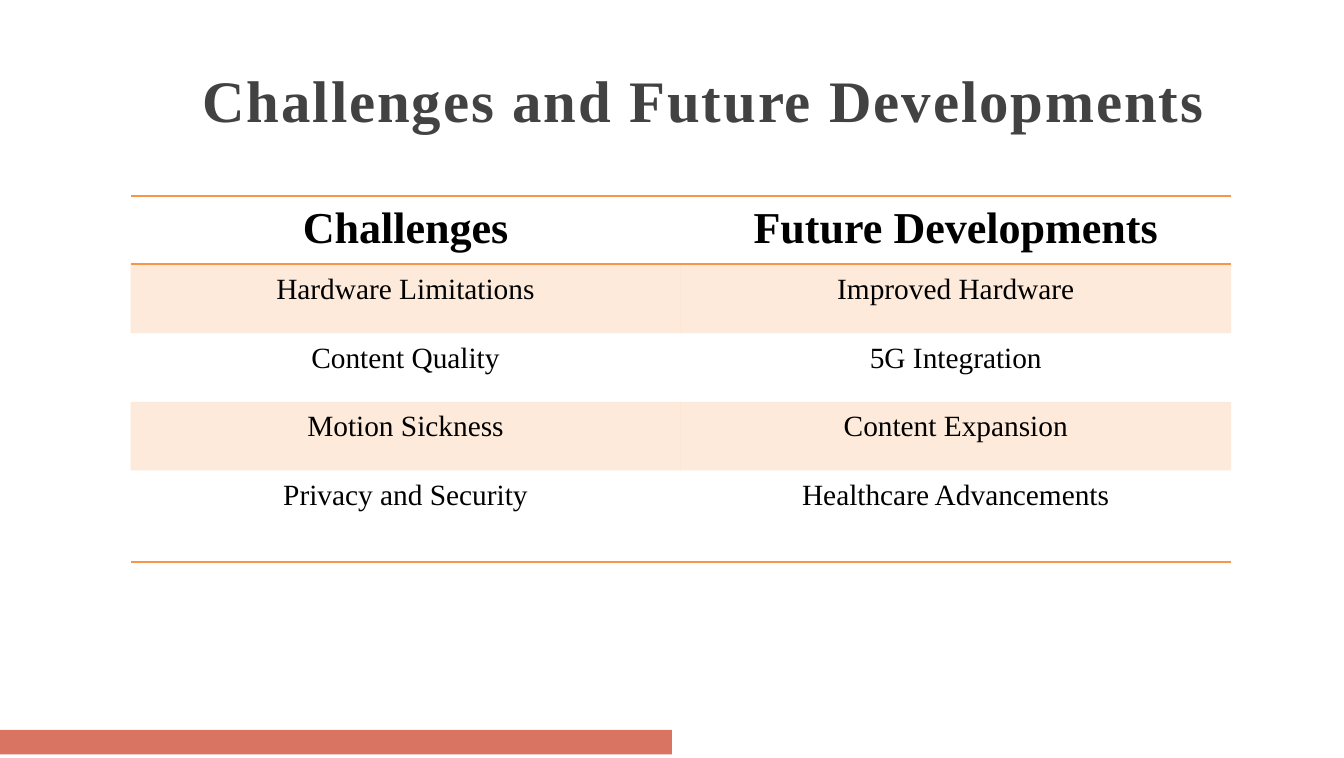
import pptx
import pptx.dml.color
import pptx.enum.shapes
import pptx.enum.text
import pptx.oxml.ns
import pptx.util
from dataclasses import dataclass
from lxml import etree

WIDTH, HEIGHT = 7.62, 4.3
COLUMN, ROW, LAST_ROW = 3.12, 0.39, 0.52
NO_STYLE = "{2D5ABB26-0587-4C30-8999-92F81FD0307C}"

HEADINGS = ("Challenges", "Future Developments")
TOPICS = [
    ("Hardware Limitations", "Improved Hardware"),
    ("Content Quality", "5G Integration"),
    ("Motion Sickness", "Content Expansion"),
    ("Privacy and Security", "Healthcare Advancements"),
]


@dataclass(frozen=True)
class Theme:
    font: str = "Times New Roman"
    title: str = "424242"
    text: str = "000000"
    accent: str = "F79646"
    bar: str = "DA7462"
    title_size: int = 24
    heading_size: int = 18
    body_size: int = 12
    band_opacity: int = 20


THEME = Theme()


def inches(*lengths):
    return [pptx.util.Inches(length) for length in lengths]


def rgb(value):
    return pptx.dml.color.RGBColor.from_string(value)


def add_xml(parent, tag, **attributes):
    return etree.SubElement(parent, pptx.oxml.ns.qn(tag), attributes)


def style_paragraph(para, size, color, bold=False):
    para.alignment = pptx.enum.text.PP_ALIGN.CENTER
    font = para.font
    font.name, font.size, font.bold = THEME.font, pptx.util.Pt(size), bold
    font.color.rgb = rgb(color)


def add_bar(page):
    bar = page.shapes.add_shape(
        pptx.enum.shapes.MSO_SHAPE.RECTANGLE,
        *inches(0, 4.14, WIDTH / 2, 0.14))
    bar.shadow.inherit = False
    bar.fill.solid()
    bar.fill.fore_color.rgb = rgb(THEME.bar)
    bar.line.fill.background()


def set_title(page, text):
    title = page.shapes.title
    title.left, title.top, title.width, title.height = inches(0.66, 0.32, 6.66, 0.42)
    frame = title.text_frame
    frame.margin_left = frame.margin_right = frame.margin_bottom = 0
    frame.margin_top = pptx.util.Inches(0.04)
    frame.vertical_anchor = pptx.enum.text.MSO_ANCHOR.TOP
    frame.auto_size = pptx.enum.text.MSO_AUTO_SIZE.NONE
    frame.text = text
    para = frame.paragraphs[0]
    style_paragraph(para, THEME.title_size, THEME.title, bold=True)
    para.space_before = pptx.util.Pt(0.9)
    # Letter spacing, in hundredths of a point
    para.runs[0].font._element.set("spc", "80")


def add_border(cell, side, position):
    line = add_xml(cell._tc.get_or_add_tcPr(), f"a:ln{side}",
                   w=str(pptx.util.Pt(1)))
    add_xml(add_xml(line, "a:solidFill"), "a:srgbClr", val=THEME.accent)
    cell._tc.tcPr.insert(position, line)


def fill_cell(cell, banded):
    if not banded:
        cell.fill.background()
        return
    cell.fill.solid()
    cell.fill.fore_color.rgb = rgb(THEME.accent)
    color = cell._tc.tcPr.find(".//" + pptx.oxml.ns.qn("a:srgbClr"))
    add_xml(color, "a:alpha", val=str(THEME.band_opacity * 1000))


def add_topic_table(page):
    rows = [HEADINGS, *TOPICS]
    last = len(rows) - 1
    table = page.shapes.add_table(
        len(rows), len(HEADINGS),
        *inches(0.74, 1.11, COLUMN * len(HEADINGS), ROW * last + LAST_ROW)).table
    table.first_row = table.horz_banding = False
    table._tbl.tblPr.find(pptx.oxml.ns.qn("a:tableStyleId")).text = NO_STYLE
    for column in table.columns:
        column.width = pptx.util.Inches(COLUMN)
    for index, texts in enumerate(rows):
        header = index == 0
        table.rows[index].height = pptx.util.Inches(LAST_ROW if index == last else ROW)
        # Rules above and below the header, and below the last row
        sides = "TB" if header else "B" if index == last else ""
        for cell, text in zip(table.rows[index].cells, texts):
            cell.text = text
            size = THEME.heading_size if header else THEME.body_size
            style_paragraph(cell.text_frame.paragraphs[0], size, THEME.text, header)
            fill_cell(cell, banded=index % 2 == 1)
            for position, side in enumerate(sides):
                add_border(cell, side, position)


def main():
    deck = pptx.Presentation()
    deck.slide_width, deck.slide_height = inches(WIDTH, HEIGHT)
    page = deck.slides.add_slide(deck.slide_layouts.get_by_name("Title Only"))
    add_bar(page)
    set_title(page, "Challenges and Future Developments")
    add_topic_table(page)
    deck.save("out.pptx")


if __name__ == "__main__":
    main()
